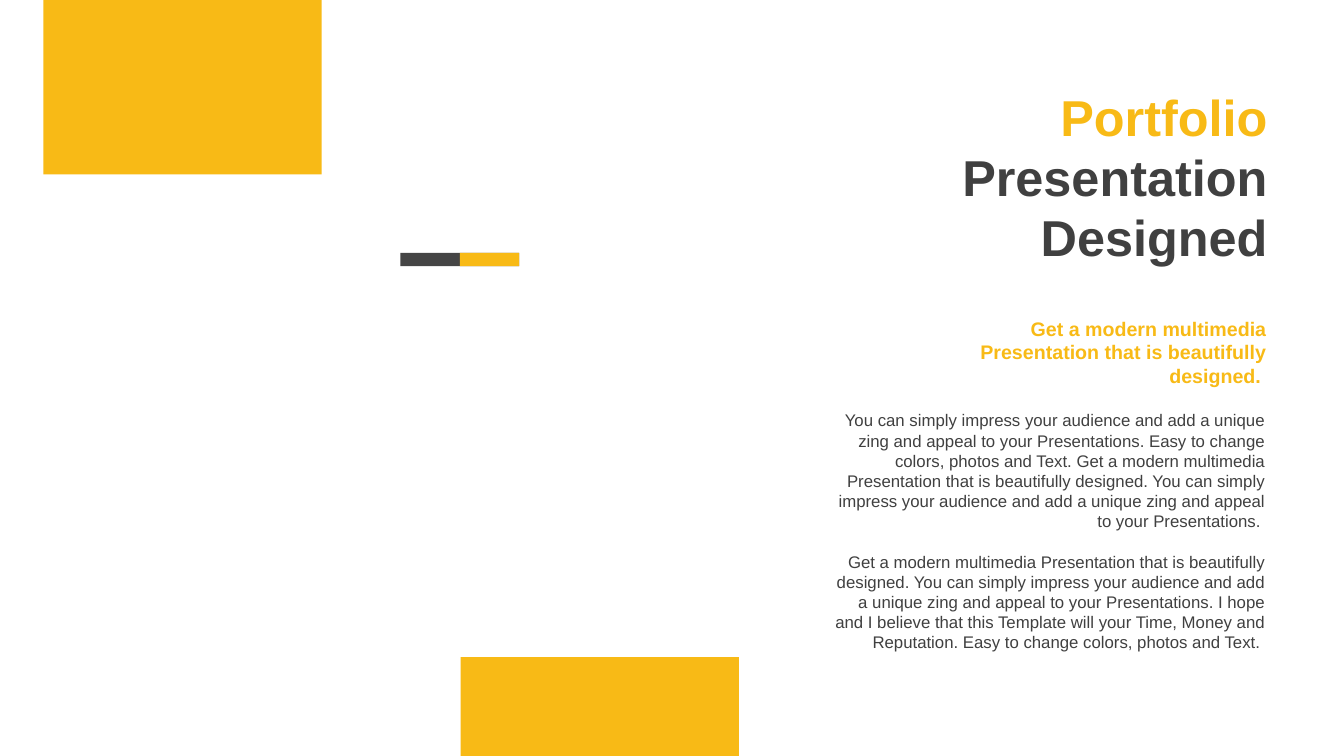
from dataclasses import dataclass

from pptx import Presentation
from pptx.dml.color import RGBColor
from pptx.enum.shapes import MSO_SHAPE
from pptx.enum.text import MSO_AUTO_SIZE, PP_ALIGN
from pptx.util import Inches, Pt


@dataclass(frozen=True)
class Theme:
    """Colours, font and type sizes of the deck."""
    yellow: RGBColor = RGBColor(0xF8, 0xBA, 0x16)
    ink: RGBColor = RGBColor(0x40, 0x40, 0x40)
    bar: RGBColor = RGBColor(0x45, 0x45, 0x45)
    font: str = "Arial"
    title: int = 36
    lead: int = 14
    body: int = 12
    body_gap: float = 14.4


class SlideBuilder:
    """Draws styled elements on the current slide."""

    def __init__(self, slide, theme):
        self.slide = slide
        self.theme = theme

    def block(self, left, top, width, height, color, group=None):
        """Add a plain filled rectangle."""
        shapes = (group or self.slide).shapes
        block = shapes.add_shape(MSO_SHAPE.RECTANGLE, Inches(left), Inches(top),
                                 Inches(width), Inches(height))
        block.shadow.inherit = False
        block.fill.solid()
        block.fill.fore_color.rgb = color
        block.line.fill.background()

    def text(self, left, top, width, height, paragraphs, size, bold=False, gap=0):
        """Add right-aligned paragraphs given as (wording, colour) pairs."""
        box = self.slide.shapes.add_textbox(Inches(left), Inches(top),
                                            Inches(width), Inches(height))
        frame = box.text_frame
        frame.word_wrap = True
        frame.auto_size = MSO_AUTO_SIZE.SHAPE_TO_FIT_TEXT
        for index, (wording, color) in enumerate(paragraphs):
            paragraph = frame.add_paragraph() if index else frame.paragraphs[0]
            paragraph.alignment = PP_ALIGN.RIGHT
            if index and gap:
                paragraph.space_before = Pt(gap)
            run = paragraph.add_run()
            run.text = wording
            run.font.name = self.theme.font
            run.font.size = Pt(size)
            run.font.bold = bold
            run.font.color.rgb = color


def main():
    """Build the portfolio slide."""
    deck = Presentation()
    deck.slide_width, deck.slide_height = Inches(13.33), Inches(7.5)
    theme = Theme()
    builder = SlideBuilder(deck.slides.add_slide(deck.slide_layouts[6]), theme)

    lead = "Get a modern multimedia Presentation that is beautifully designed. "
    impress = ("You can simply impress your audience and add a unique zing "
               "and appeal to your Presentations. ")
    easy = "Easy to change colors, photos and Text. "
    hope = ("I hope and I believe that this Template will your Time, "
            "Money and Reputation. ")

    builder.text(9.08, 0.8, 3.59, 1.92,
                 [("Portfolio", theme.yellow), ("Presentation Designed", theme.ink)],
                 theme.title, bold=True)
    builder.text(8.12, 4.02, 4.53, 2.52,
                 [(impress + easy + lead + impress, theme.ink),
                  (lead + impress + hope + easy, theme.ink)],
                 theme.body, gap=theme.body_gap)

    divider = builder.slide.shapes.add_group_shape()
    builder.block(3.97, 2.51, 1.18, 0.13, theme.bar, divider)
    builder.block(4.56, 2.51, 0.59, 0.13, theme.yellow, divider)

    builder.text(9.49, 3.09, 3.17, 0.81, [(lead, theme.yellow)], theme.lead, bold=True)

    for left, top, height in ((0.43, 0, 1.73), (4.57, 6.52, 0.98)):
        builder.block(left, top, 2.76, height, theme.yellow)

    deck.save("out.pptx")


if __name__ == "__main__":
    main()
